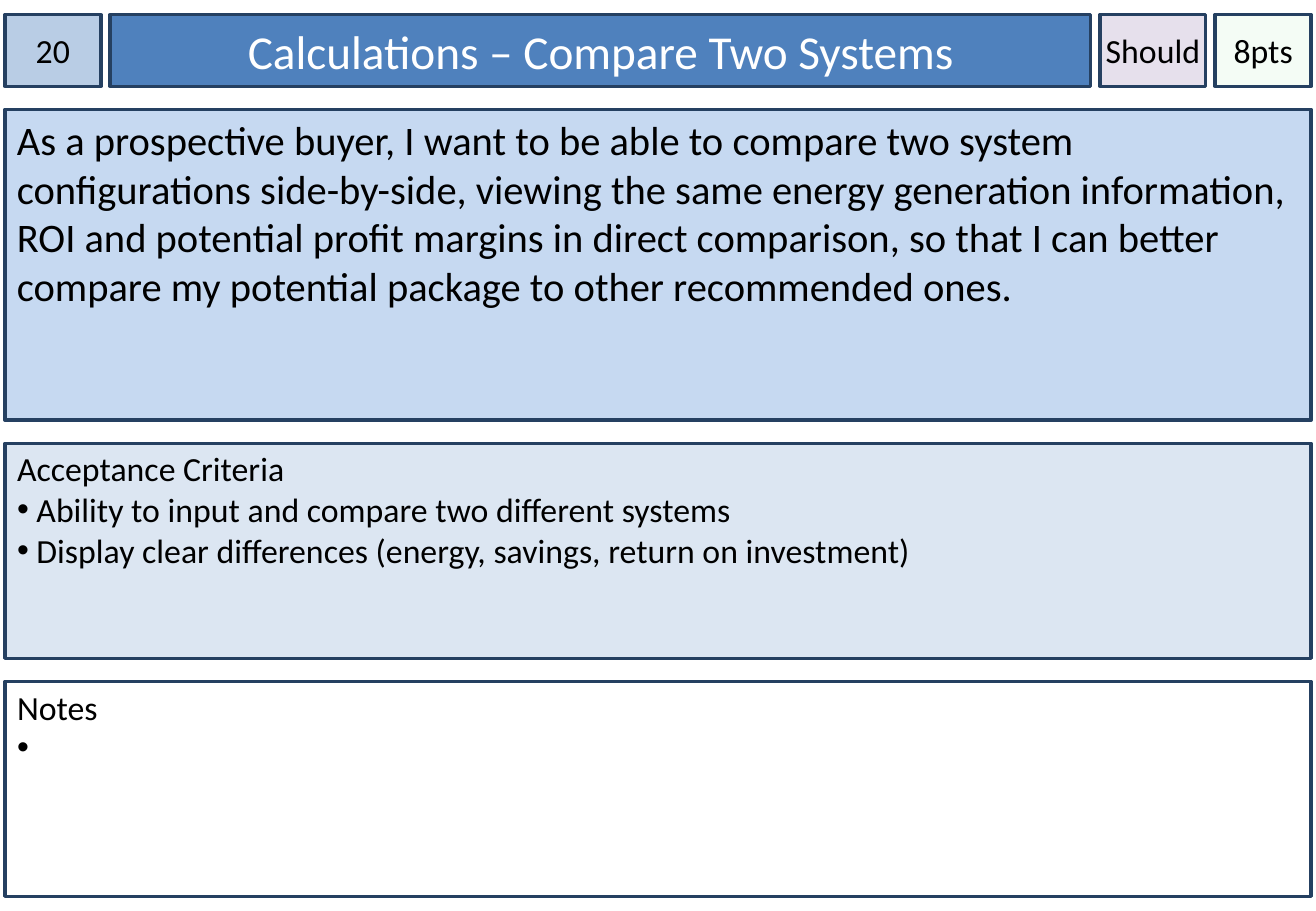
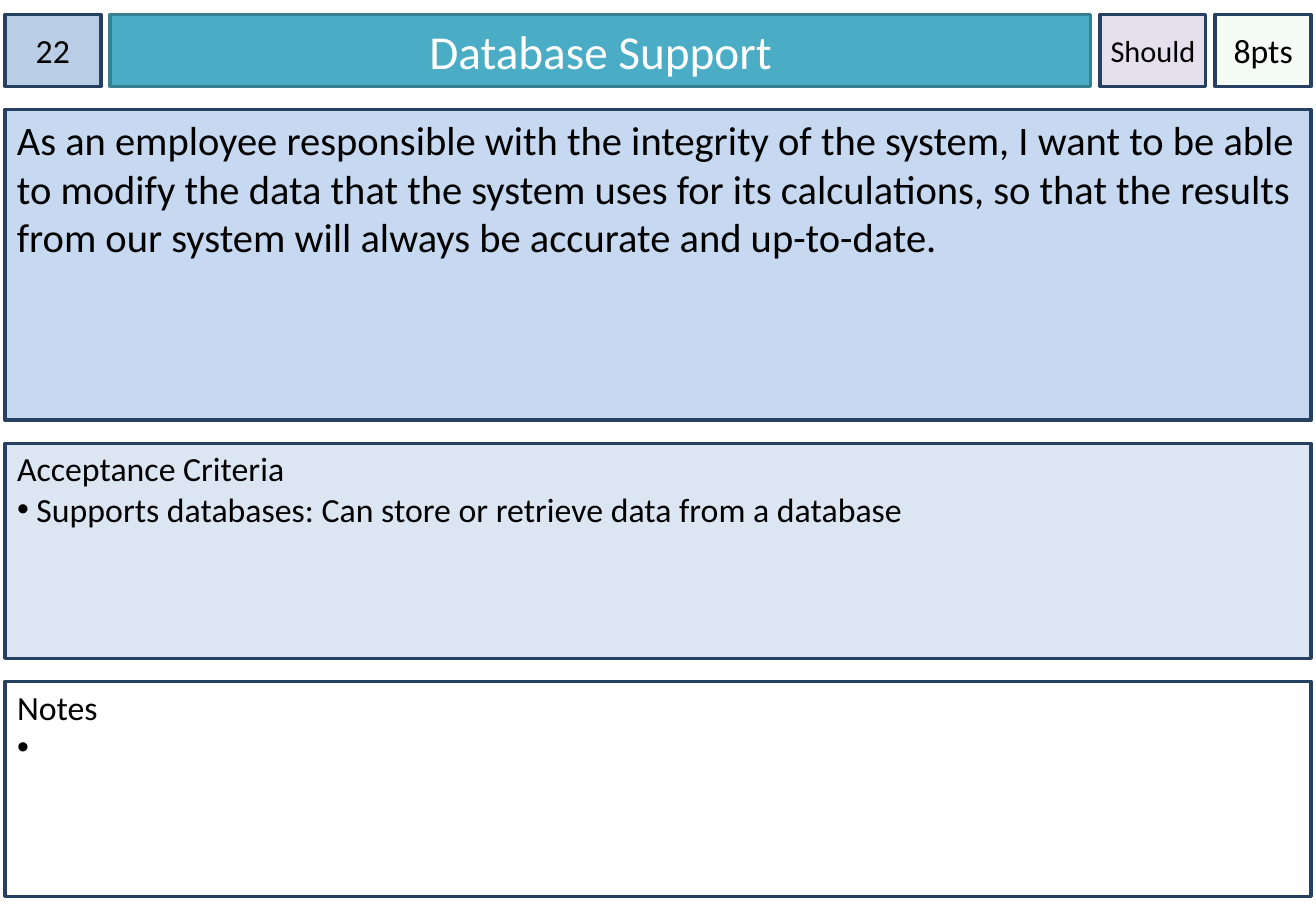
from dataclasses import dataclass

import lxml.etree
import pptx
import pptx.dml.color
import pptx.enum.shapes
import pptx.enum.text
import pptx.oxml.ns
import pptx.util

Inches = pptx.util.Inches
RGBColor = pptx.dml.color.RGBColor
Align = pptx.enum.text.PP_ALIGN
Anchor = pptx.enum.text.MSO_ANCHOR

FONT = "Calibri"
BLACK = RGBColor(0x00, 0x00, 0x00)
WHITE = RGBColor(0xFF, 0xFF, 0xFF)
NAVY = RGBColor(0x25, 0x40, 0x61)
BLUE = RGBColor(0x4F, 0x81, 0xBD)
TEAL = RGBColor(0x4B, 0xAC, 0xC6)
DARK_TEAL = RGBColor(0x37, 0x7F, 0x92)
NUMBER_FILL = RGBColor(0xB9, 0xCD, 0xE5)
PRIORITY_FILL = RGBColor(0xE6, 0xE0, 0xEC)
POINTS_FILL = RGBColor(0xCC, 0xF0, 0xCD)
STORY_FILL = RGBColor(0xC6, 0xD9, 0xF1)
CRITERIA_FILL = RGBColor(0xDC, 0xE6, 0xF2)

LEFT, CARD_WIDTH = 0.04, 10.75
TOP, ROW_GAP = 0.12, 0.19
HEADER_WIDTHS = (0.79, 8.07, 0.87, 0.79)
ROW_HEIGHTS = (0.59, 2.56, 1.77, 1.77)
BULLET_INDENT = 0.16
TAG_INSETS = (0, 0.05, 0, 0.05)
TEXT_INSETS = (0.1, 0.05, 0.1, 0.05)
LIST_INSETS = (0.1, 0.04, 0.1, 0.05)


@dataclass(frozen=True)
class Box:
    left: float
    top: float
    width: float
    height: float

    def lengths(self) -> tuple:
        return tuple(Inches(n) for n in (self.left, self.top, self.width, self.height))


@dataclass(frozen=True)
class Story:
    number: str
    title: str
    priority: str
    points: str
    text: str
    criteria: tuple[str, ...]
    title_fill: RGBColor = BLUE
    title_line: RGBColor = NAVY
    priority_size: int = 20


STORIES = (
    Story(
        "20", "Calculations – Compare Two Systems", "Should", "8pts",
        "As a prospective buyer, I want to be able to compare two system "
        "configurations side-by-side, viewing the same energy generation "
        "information, ROI and potential profit margins in direct comparison, so "
        "that I can better compare my potential package to other recommended ones.",
        ("Ability to input and compare two different systems",
         "Display clear differences (energy, savings, return on investment)"),
    ),
    Story(
        "22", "Database Support", "Should", "8pts",
        "As an employee responsible with the integrity of the system, I want to be "
        "able to modify the data that the system uses for its calculations, so that "
        "the results from our system will always be accurate and up-to-date.",
        ("Supports databases: Can store or retrieve data from a database",),
        title_fill=TEAL, title_line=DARK_TEAL, priority_size=18,
    ),
)


def header_boxes() -> list[Box]:
    gap = (CARD_WIDTH - sum(HEADER_WIDTHS)) / (len(HEADER_WIDTHS) - 1)
    return [Box(LEFT + sum(HEADER_WIDTHS[:i]) + i * gap, TOP, width, ROW_HEIGHTS[0])
            for i, width in enumerate(HEADER_WIDTHS)]


def panel_boxes() -> list[Box]:
    """Return the full-width rows below the header."""
    return [Box(LEFT, TOP + sum(ROW_HEIGHTS[:i]) + i * ROW_GAP, CARD_WIDTH, ROW_HEIGHTS[i])
            for i in range(1, len(ROW_HEIGHTS))]


def set_bullet(paragraph, bulleted: bool) -> None:
    props = paragraph._p.get_or_add_pPr()
    indent = Inches(BULLET_INDENT) if bulleted else 0
    props.set("marL", str(indent))
    props.set("indent", str(-indent))
    qn = pptx.oxml.ns.qn
    if bulleted:
        lxml.etree.SubElement(props, qn("a:buFont"), typeface="Arial")
        lxml.etree.SubElement(props, qn("a:buChar"), char="•")
    else:
        lxml.etree.SubElement(props, qn("a:buNone"))


def write_text(shape, text: str, *, bullets: tuple[str, ...] = (), size: int = 20,
               color: RGBColor = BLACK, align=Align.LEFT, anchor=Anchor.TOP,
               insets: tuple = TEXT_INSETS, wrap: bool = True) -> None:
    frame = shape.text_frame
    frame.auto_size = pptx.enum.text.MSO_AUTO_SIZE.NONE
    frame.word_wrap = wrap
    frame.vertical_anchor = anchor
    (frame.margin_left, frame.margin_top,
     frame.margin_right, frame.margin_bottom) = map(Inches, insets)
    for i, line in enumerate((text, *bullets)):
        paragraph = frame.add_paragraph() if i else frame.paragraphs[0]
        set_bullet(paragraph, bulleted=i > 0)
        paragraph.alignment = align
        paragraph.space_before = pptx.util.Pt(0)
        run = paragraph.add_run()
        run.text = line
        run.font.name = FONT
        run.font.size = pptx.util.Pt(size)
        run.font.color.rgb = color


def style_panel(shape, box: Box, fill: RGBColor, line: RGBColor = NAVY) -> None:
    shape.left, shape.top, shape.width, shape.height = box.lengths()
    shape.fill.solid()
    shape.fill.fore_color.rgb = fill
    shape.line.color.rgb = line
    shape.line.width = pptx.util.Pt(2)


def add_panel(slide, box: Box, fill: RGBColor, text: str, **text_format):
    panel = slide.shapes.add_shape(pptx.enum.shapes.MSO_SHAPE.RECTANGLE, *box.lengths())
    panel.shadow.inherit = False
    style_panel(panel, box, fill)
    write_text(panel, text, **text_format)
    return panel


def set_opacity(shape, percent: int) -> None:
    qn = pptx.oxml.ns.qn
    fill_color = shape._element.spPr.find(qn("a:solidFill")).find(qn("a:srgbClr"))
    lxml.etree.SubElement(fill_color, qn("a:alpha"), val=str(percent * 1000))


def add_story_card(deck, story: Story) -> None:
    slide = deck.slides.add_slide(deck.slide_layouts.get_by_name("Two Content"))
    number_box, title_box, priority_box, points_box = header_boxes()
    story_box, criteria_box, notes_box = panel_boxes()
    centred = dict(align=Align.CENTER, anchor=Anchor.MIDDLE)
    tag = dict(centred, insets=TAG_INSETS)

    title, criteria, notes = slide.placeholders
    style_panel(title, title_box, story.title_fill, story.title_line)
    write_text(title, story.title, size=28, color=WHITE, **centred)
    style_panel(criteria, criteria_box, CRITERIA_FILL)
    write_text(criteria, "Acceptance Criteria", bullets=story.criteria, insets=LIST_INSETS)
    style_panel(notes, notes_box, WHITE)
    write_text(notes, "Notes", bullets=(" ",), insets=LIST_INSETS)

    add_panel(slide, number_box, NUMBER_FILL, story.number, **tag)
    add_panel(slide, story_box, STORY_FILL, story.text, size=24)
    points = add_panel(slide, points_box, POINTS_FILL, story.points, **tag)
    set_opacity(points, 20)
    add_panel(slide, priority_box, PRIORITY_FILL, story.priority,
              size=story.priority_size, wrap=False, **tag)


def main() -> None:
    deck = pptx.Presentation()
    deck.slide_width, deck.slide_height = Inches(10.83), Inches(7.5)
    for story in STORIES:
        add_story_card(deck, story)
    deck.save("out.pptx")


if __name__ == "__main__":
    main()
